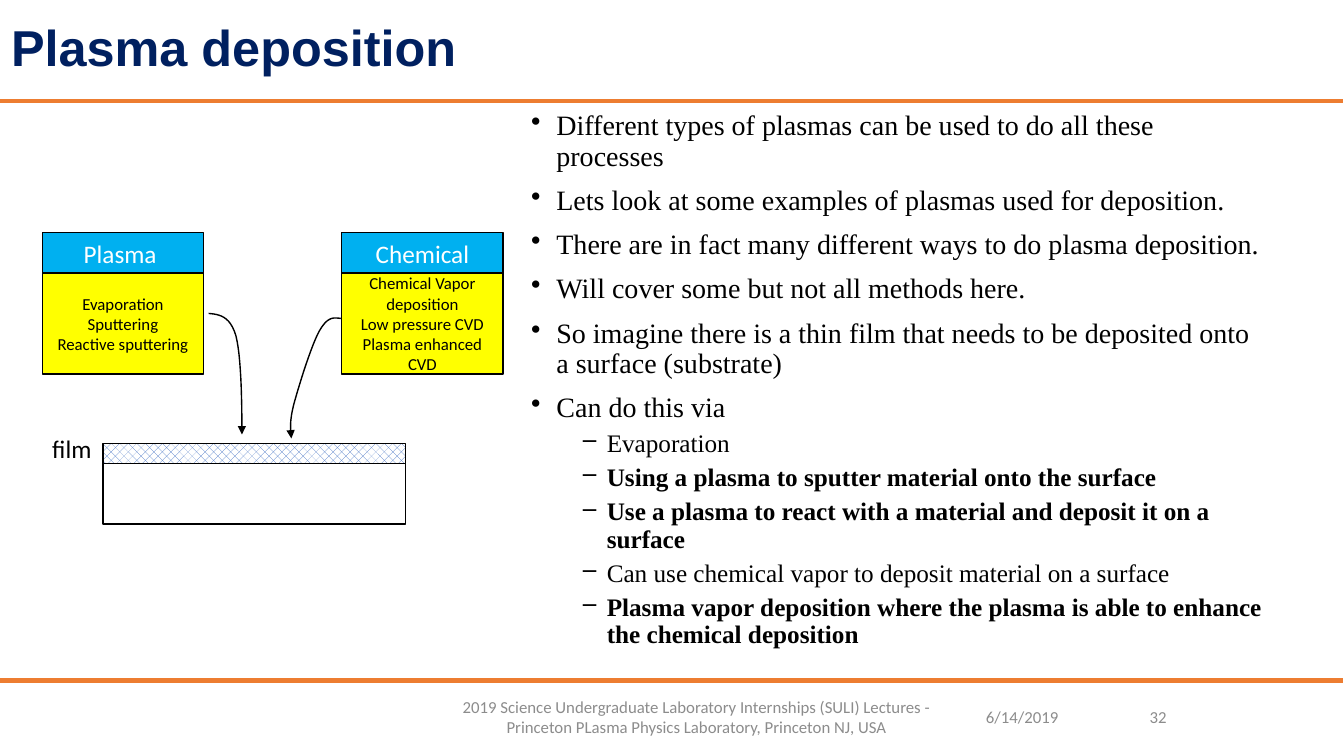
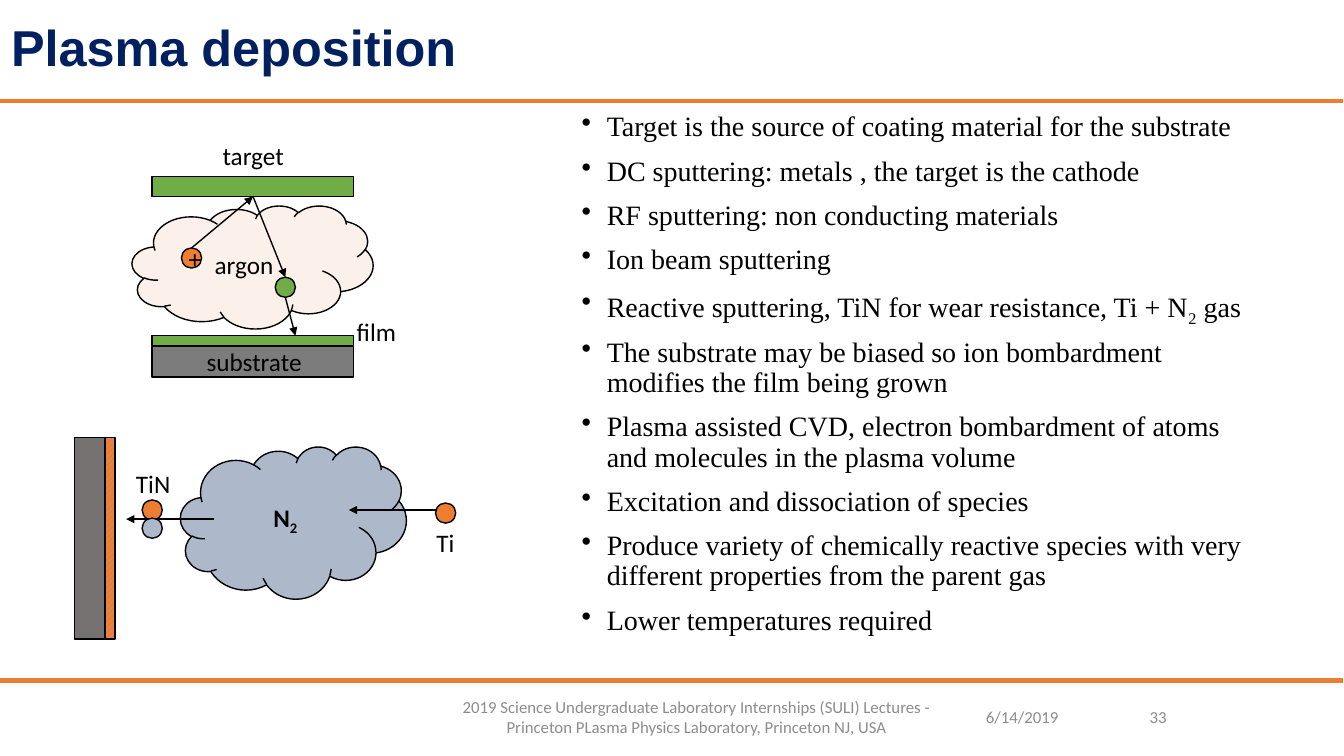
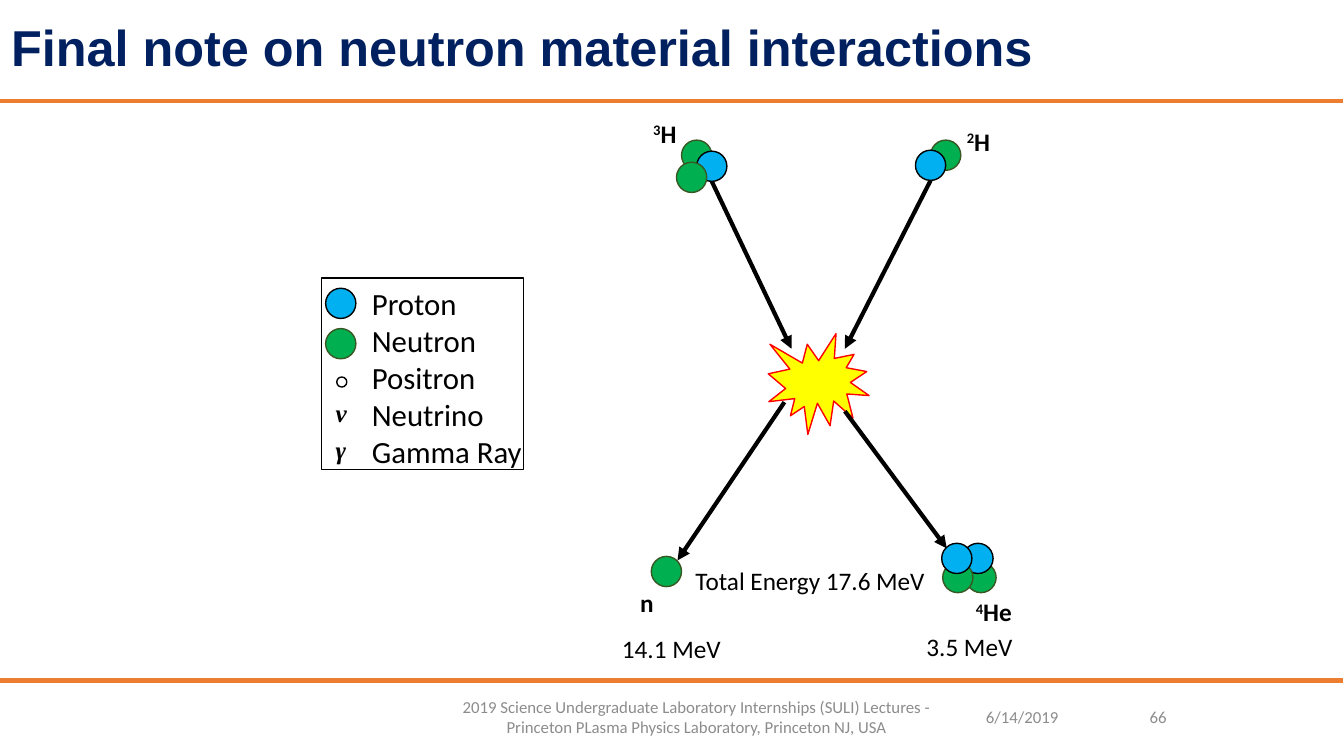
from lxml import etree
from pptx import Presentation
from pptx.dml.color import RGBColor
from pptx.enum import dml, shapes, text
from pptx.oxml.ns import qn
from pptx.util import Inches, Pt

BLACK = RGBColor(0x00, 0x00, 0x00)
WHITE = RGBColor(0xFF, 0xFF, 0xFF)
NAVY = RGBColor(0x00, 0x20, 0x60)
ORANGE = RGBColor(0xED, 0x7D, 0x31)
FOOTER_GRAY = RGBColor(0x8C, 0x8C, 0x8C)
SKY = RGBColor(0x00, 0xB0, 0xF0)
YELLOW = RGBColor(0xFF, 0xFF, 0x00)
RED = RGBColor(0xFF, 0x00, 0x00)
BLUE = RGBColor(0x44, 0x72, 0xC4)
LIGHT_BLUE = RGBColor(0x8F, 0xAA, 0xDC)
LEAF = RGBColor(0x70, 0xAD, 0x47)
SUBSTRATE_GRAY = RGBColor(0x7C, 0x7C, 0x7C)
WALL_GRAY = RGBColor(0x76, 0x71, 0x71)
PEACH = RGBColor(0xFB, 0xE5, 0xD6)
NITROGEN = RGBColor(0xAD, 0xB9, 0xCA)
GREEN = RGBColor(0x00, 0xB0, 0x50)
DARK_GREEN = RGBColor(0x38, 0x57, 0x23)

BODY, SANS, TITLE = "Times New Roman", "Calibri", "Arial"
FOOTER = ("2019 Science Undergraduate Laboratory Internships (SULI) Lectures - "
          "Princeton PLasma Physics Laboratory, Princeton NJ, USA")
LEFT, CENTER, RIGHT = text.PP_ALIGN.LEFT, text.PP_ALIGN.CENTER, text.PP_ALIGN.RIGHT
RECT, OVAL, CLOUD = (shapes.MSO_SHAPE.RECTANGLE, shapes.MSO_SHAPE.OVAL,
                     shapes.MSO_SHAPE.CLOUD)
SUB, SUPER = -25, 30
ATOM, NUCLEON = 0.2, 0.3


def add_runs(paragraph, content, size, face=SANS, color=BLACK, bold=False, italic=False):
    """Content is a string or a list of (text, baseline shift in percent)."""
    pieces = [(content, 0)] if isinstance(content, str) else content
    for words, shift in pieces:
        run = paragraph.add_run()
        run.text = words
        font = run.font
        font.name, font.size, font.bold, font.italic = face, Pt(size), bold, italic
        font.color.rgb = color
        if shift:
            run._r.get_or_add_rPr().set("baseline", str(shift * 1000))


def fill_frame(frame, paragraphs, align, size, **style):
    for index, content in enumerate(paragraphs):
        paragraph = frame.add_paragraph() if index else frame.paragraphs[0]
        paragraph.alignment = align
        add_runs(paragraph, content, size, **style)


def add_box(slide, left, top, width, height):
    return slide.shapes.add_textbox(Inches(left), Inches(top), Inches(width), Inches(height))


def add_label(slide, left, top, width, *paragraphs, size=18, height=0.4, **style):
    frame = add_box(slide, left, top, width, height).text_frame
    frame.word_wrap = False
    frame.auto_size = text.MSO_AUTO_SIZE.SHAPE_TO_FIT_TEXT
    fill_frame(frame, paragraphs, LEFT, size, **style)


def add_figure(slide, kind, left, top, width, height, fill=None, line=BLACK,
               paragraphs=(), size=18, **style):
    figure = slide.shapes.add_shape(kind, Inches(left), Inches(top),
                                    Inches(width), Inches(height))
    figure.shadow.inherit = False
    if fill is None:
        figure.fill.background()
    else:
        figure.fill.solid()
        figure.fill.fore_color.rgb = fill
    figure.line.color.rgb = line
    figure.line.width = Pt(1)
    fill_frame(figure.text_frame, paragraphs, CENTER, size, **style)
    return figure


def set_pattern(figure, pattern, fore, back):
    figure.fill.patterned()
    figure.fill.pattern = pattern
    figure.fill.fore_color.rgb = fore
    figure.fill.back_color.rgb = back


def add_atom(slide, left, top, fill, **options):
    return add_figure(slide, OVAL, left, top, ATOM, ATOM, fill, **options)


def add_proton(slide, left, top):
    add_figure(slide, OVAL, left, top, NUCLEON, NUCLEON, SKY)


def add_neutron(slide, left, top):
    add_figure(slide, OVAL, left, top, NUCLEON, NUCLEON, GREEN, DARK_GREEN)


def add_arrowhead(stroke):
    etree.SubElement(stroke.element.spPr.find(qn("a:ln")), qn("a:tailEnd"), type="triangle")


def add_line(slide, start, end, color=BLACK, width=1):
    line = slide.shapes.add_connector(shapes.MSO_CONNECTOR.STRAIGHT,
                                      *map(Inches, (*start, *end)))
    line.line.color.rgb = color
    line.line.width = Pt(width)
    etree.SubElement(line.element.spPr, qn("a:effectLst"))
    return line


def add_arrow(slide, start, end, width=1):
    arrow = add_line(slide, start, end, width=width)
    add_arrowhead(arrow)
    return arrow


def add_curved_arrow(slide, start, *curves, steps=12):
    """Each curve gives two control points and an end point of a cubic Bezier."""
    points = []
    origin = start
    for curve in curves:
        for step in range(1, steps + 1):
            t = step / steps
            weights = ((1 - t) ** 3, 3 * t * (1 - t) ** 2, 3 * t * t * (1 - t), t ** 3)
            points.append([Inches(sum(w * p[axis] for w, p in zip(weights, (origin, *curve))))
                           for axis in (0, 1)])
        origin = curve[-1]
    builder = slide.shapes.build_freeform(*map(Inches, start))
    builder.add_line_segments(points, close=False)
    arrow = builder.convert_to_shape()
    arrow.shadow.inherit = False
    arrow.fill.background()
    arrow.line.color.rgb = BLACK
    arrow.line.width = Pt(1)
    add_arrowhead(arrow)


def add_bullets(slide, left, top, width, items):
    """Items are (level, content, bold)."""
    frame = add_box(slide, left, top, width, 5.6).text_frame
    frame.word_wrap = True
    for index, (level, content, bold) in enumerate(items):
        paragraph = frame.add_paragraph() if index else frame.paragraphs[0]
        properties = paragraph._p.get_or_add_pPr()
        properties.set("marL", str(Inches(0.25 + 0.5 * level)))
        properties.set("indent", str(Inches(-0.25)))
        etree.SubElement(properties, qn("a:buChar"), char="•‒"[level])
        paragraph.level = level
        paragraph.line_spacing = 0.9
        if index:
            paragraph.space_before = Pt((10, 5)[level])
        add_runs(paragraph, content, (20, 18)[level], face=BODY, bold=bold)


def add_footer_text(slide, left, width, words, align):
    frame = add_box(slide, left, 6.76, width, 0.7).text_frame
    frame.word_wrap = True
    frame.vertical_anchor = text.MSO_ANCHOR.MIDDLE
    fill_frame(frame, [words], align, 12, color=FOOTER_GRAY)


def add_slide(prs, heading, number):
    slide = prs.slides.add_slide(prs.slide_layouts[5])
    for y in (1, 6.75):
        add_line(slide, (-0.01, y), (13.32, y), ORANGE, 3)
    title = slide.shapes.title
    title.left, title.top, title.width, title.height = map(Inches, (0.01, 0, 13.33, 1))
    frame = title.text_frame
    frame.auto_size = text.MSO_AUTO_SIZE.NONE
    frame.vertical_anchor = text.MSO_ANCHOR.MIDDLE
    frame.paragraphs[0].line_spacing = 0.9
    fill_frame(frame, [heading], LEFT, 36, face=TITLE, color=NAVY, bold=True)
    add_footer_text(slide, 9.68, 1, "6/14/2019", LEFT)
    add_footer_text(slide, 4.16, 5.5, FOOTER, CENTER)
    add_footer_text(slide, 10.67, 1, str(number), RIGHT)
    return slide


def build_methods(prs):
    slide = add_slide(prs, "Plasma deposition", 32)
    add_bullets(slide, 5.17, 1.06, 7.5, [
        (0, "Different types of plasmas can be used to do all these processes", False),
        (0, "Lets look at some examples of plasmas used for deposition.", False),
        (0, "There are in fact many different ways to do plasma deposition.", False),
        (0, "Will cover some but not all methods here.", False),
        (0, "So imagine there is a thin film that needs to be deposited onto "
            "a surface (substrate)", False),
        (0, "Can do this via", False),
        (1, "Evaporation", False),
        (1, "Using a plasma to sputter material onto the surface", True),
        (1, "Use a plasma to react with a material and deposit it on a surface", True),
        (1, "Can use chemical vapor to deposit material on a surface", False),
        (1, "Plasma vapor deposition where the plasma is able to enhance "
            "the chemical deposition", True),
    ])
    film = add_figure(slide, RECT, 1.02, 4.4, 3, 0.2, WHITE)
    set_pattern(film, dml.MSO_PATTERN.WEAVE, BLUE, WHITE)
    add_figure(slide, RECT, 1.02, 4.6, 3, 0.6, WHITE)
    for left, family, methods in (
        (0.42, "Plasma ", ["Evaporation", "Sputtering", "Reactive sputtering"]),
        (3.39, "Chemical", ["Chemical Vapor deposition", "Low pressure CVD",
                            "Plasma enhanced CVD"]),
    ):
        add_figure(slide, RECT, left, 2.31, 1.6, 0.4, SKY, paragraphs=[family], color=WHITE)
        add_figure(slide, RECT, left, 2.71, 1.6, 1, YELLOW, paragraphs=methods, size=12)
    add_curved_arrow(slide, (2.07, 3.11),
                     ((2.17, 3.12), (2.28, 3.13), (2.34, 3.33)),
                     ((2.39, 3.53), (2.4, 3.92), (2.4, 4.31)))
    add_curved_arrow(slide, (3.38, 3.16),
                     ((3.31, 3.15), (3.25, 3.14), (3.17, 3.28)),
                     ((3.09, 3.42), (2.97, 3.81), (2.92, 3.99)),
                     ((2.87, 4.17), (2.88, 4.26), (2.89, 4.35)))
    add_label(slide, 0.42, 4.25, 0.6, "film")


def draw_sputtering(slide):
    target = add_figure(slide, RECT, 1.51, 1.75, 2, 0.2, LEAF)
    add_figure(slide, RECT, 1.51, 3.33, 2, 0.1, LEAF)
    add_figure(slide, RECT, 1.51, 3.44, 2, 0.3, SUBSTRATE_GRAY)
    argon = add_figure(slide, CLOUD, 1.31, 2.04, 2.39, 1.22, PEACH, paragraphs=["argon"])
    peach = argon.element.spPr.find(qn("a:solidFill")).find(qn("a:srgbClr"))
    etree.SubElement(peach, qn("a:alpha"), val="50000")
    ion = add_atom(slide, 1.8, 2.46, ORANGE, paragraphs=["+"])
    sputtered = add_atom(slide, 2.73, 2.75, LEAF)
    impact = add_arrow(slide, (1.9, 2.46), (2.51, 1.95))
    impact.begin_connect(ion, 0)
    impact.end_connect(target, 2)
    ejection = add_arrow(slide, (2.51, 1.95), (2.83, 2.75))
    ejection.begin_connect(target, 2)
    ejection.end_connect(sputtered, 0)
    add_arrow(slide, (2.83, 2.95), (2.93, 3.33))
    add_label(slide, 2.11, 1.34, 0.81, "target")
    add_label(slide, 3.44, 3.09, 0.6, "film")
    add_label(slide, 1.95, 3.39, 1.15, "substrate")


def draw_reactive_sputtering(slide):
    add_figure(slide, RECT, 0.74, 4.34, 0.3, 2, WALL_GRAY)
    add_figure(slide, CLOUD, 1.79, 4.43, 2.24, 1.51, NITROGEN,
               paragraphs=[[("N", 0), ("2", SUB)]], bold=True)
    add_atom(slide, 4.32, 4.99, ORANGE)
    coating = add_figure(slide, RECT, 1.04, 4.34, 0.1, 2, ORANGE)
    set_pattern(coating, dml.MSO_PATTERN.WIDE_UPWARD_DIAGONAL, LIGHT_BLUE, ORANGE)
    add_label(slide, 4.23, 5.18, 0.38, "Ti")
    add_label(slide, 1.25, 4.6, 0.55, "TiN")
    add_arrow(slide, (4.32, 5.06), (3.46, 5.06))
    add_arrow(slide, (2.12, 5.15), (1.25, 5.15))
    add_atom(slide, 1.41, 4.96, ORANGE)
    add_atom(slide, 1.41, 5.14, NITROGEN)


def build_sputtering(prs):
    slide = add_slide(prs, "Plasma deposition", 33)
    points = [
        "Target is the source of coating material for the substrate",
        "DC sputtering: metals , the target is the cathode",
        "RF sputtering: non conducting materials",
        "Ion beam sputtering",
        [("Reactive sputtering, TiN for wear resistance, Ti + N", 0), ("2", SUB), (" gas", 0)],
        "The substrate may be biased so ion bombardment modifies the film being grown",
        "Plasma assisted CVD, electron bombardment of atoms and molecules in the plasma volume",
        "Excitation and dissociation of species",
        "Produce variety of chemically reactive species with very different properties "
        "from the parent gas",
        "Lower temperatures required",
    ]
    add_bullets(slide, 5.67, 1.07, 7, [(0, point, False) for point in points])
    draw_sputtering(slide)
    draw_reactive_sputtering(slide)


def draw_legend(slide):
    add_proton(slide, 3.23, 2.86)
    add_neutron(slide, 3.23, 3.26)
    add_figure(slide, OVAL, 3.34, 3.74, 0.1, 0.1, WHITE)
    for top, symbol in ((3.89, "ν"), (4.26, "γ")):
        add_label(slide, 3.23, top, 0.31, symbol, face=BODY, bold=True, italic=True)
    add_figure(slide, RECT, 3.19, 2.76, 2, 1.9)
    add_label(slide, 3.59, 2.78, 1.71, "Proton", "Neutron", "Positron", "Neutrino",
              "Gamma Ray", size=22, height=1.95)


def draw_fusion(slide):
    add_neutron(slide, 6.46, 5.52)
    for left_neutron, left_proton in ((9.58, 9.55), (9.35, 9.34)):
        add_neutron(slide, left_neutron, 5.58)
        add_proton(slide, left_proton, 5.39)
    add_figure(slide, shapes.MSO_SHAPE.EXPLOSION1, 7.62, 3.31, 1, 1, YELLOW, RED)
    for start, end in (((7.06, 1.8), (7.85, 3.46)), ((9.23, 1.79), (8.38, 3.46)),
                       ((8.38, 4.08), (9.39, 5.44)), ((7.78, 3.99), (6.72, 5.56))):
        add_arrow(slide, start, end, width=3)
    add_neutron(slide, 9.23, 1.39)
    add_proton(slide, 9.08, 1.49)
    add_neutron(slide, 6.76, 1.39)
    add_proton(slide, 6.91, 1.5)
    add_neutron(slide, 6.71, 1.61)
    for left, top, width, mass, element in ((9.58, 5.87, 0.57, "4", "He"),
                                            (6.38, 1.12, 0.45, "3", "H"),
                                            (9.49, 1.2, 0.45, "2", "H")):
        add_label(slide, left, top, width, [(mass, SUPER), (element, 0)], bold=True)
    add_label(slide, 6.25, 5.78, 0.34, "n", bold=True)
    add_label(slide, 9.09, 6.21, 1.06, "3.5 MeV")
    add_label(slide, 6.07, 6.23, 1.19, "14.1 MeV")
    add_label(slide, 6.8, 5.56, 2.6, "Total Energy 17.6 MeV")


def build_neutrons(prs):
    slide = add_slide(prs, "Final note on neutron material interactions", 66)
    draw_legend(slide)
    draw_fusion(slide)


def main():
    prs = Presentation()
    prs.slide_width, prs.slide_height = Inches(13.33), Inches(7.5)
    build_methods(prs)
    build_sputtering(prs)
    build_neutrons(prs)
    prs.save("out.pptx")


if __name__ == "__main__":
    main()
